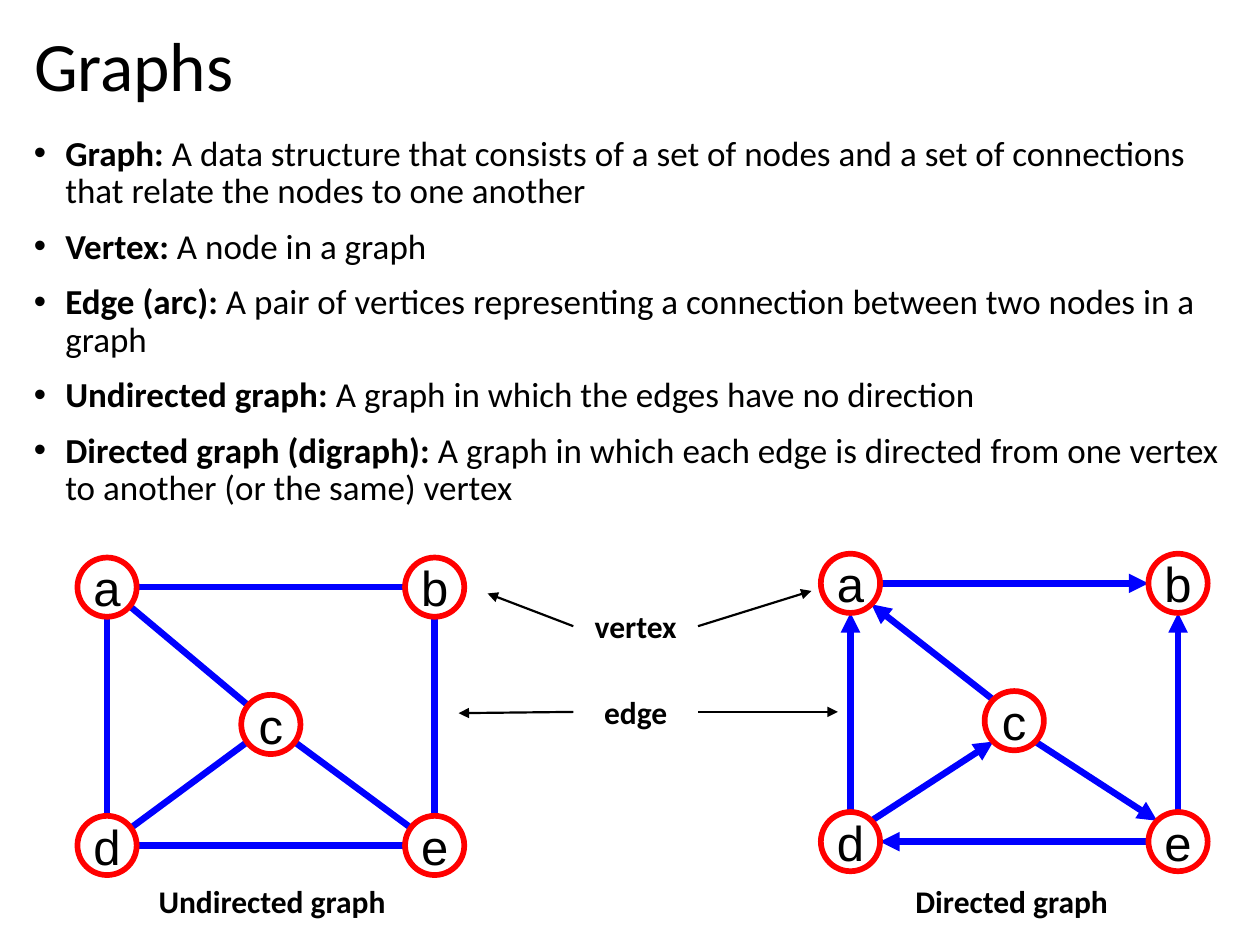
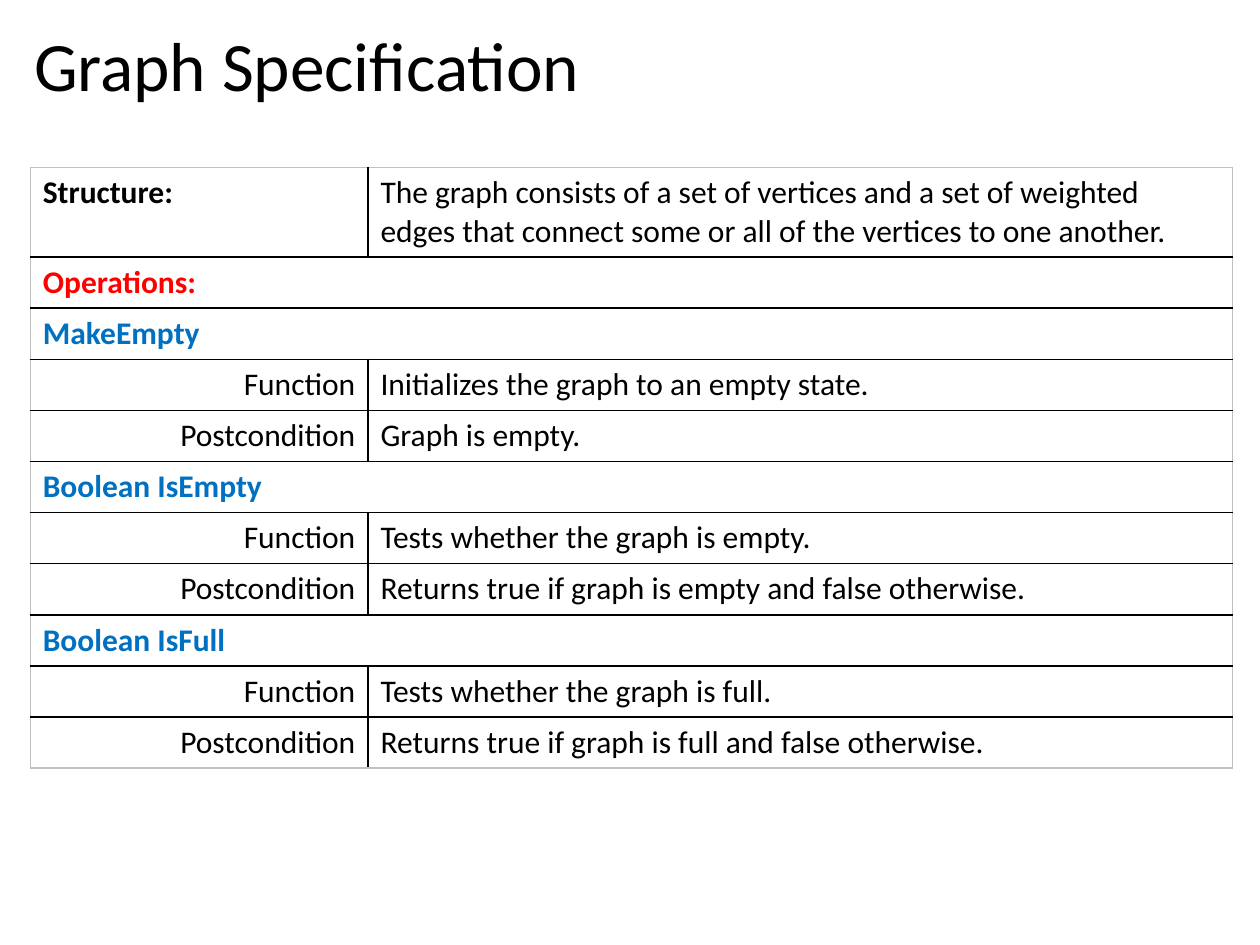
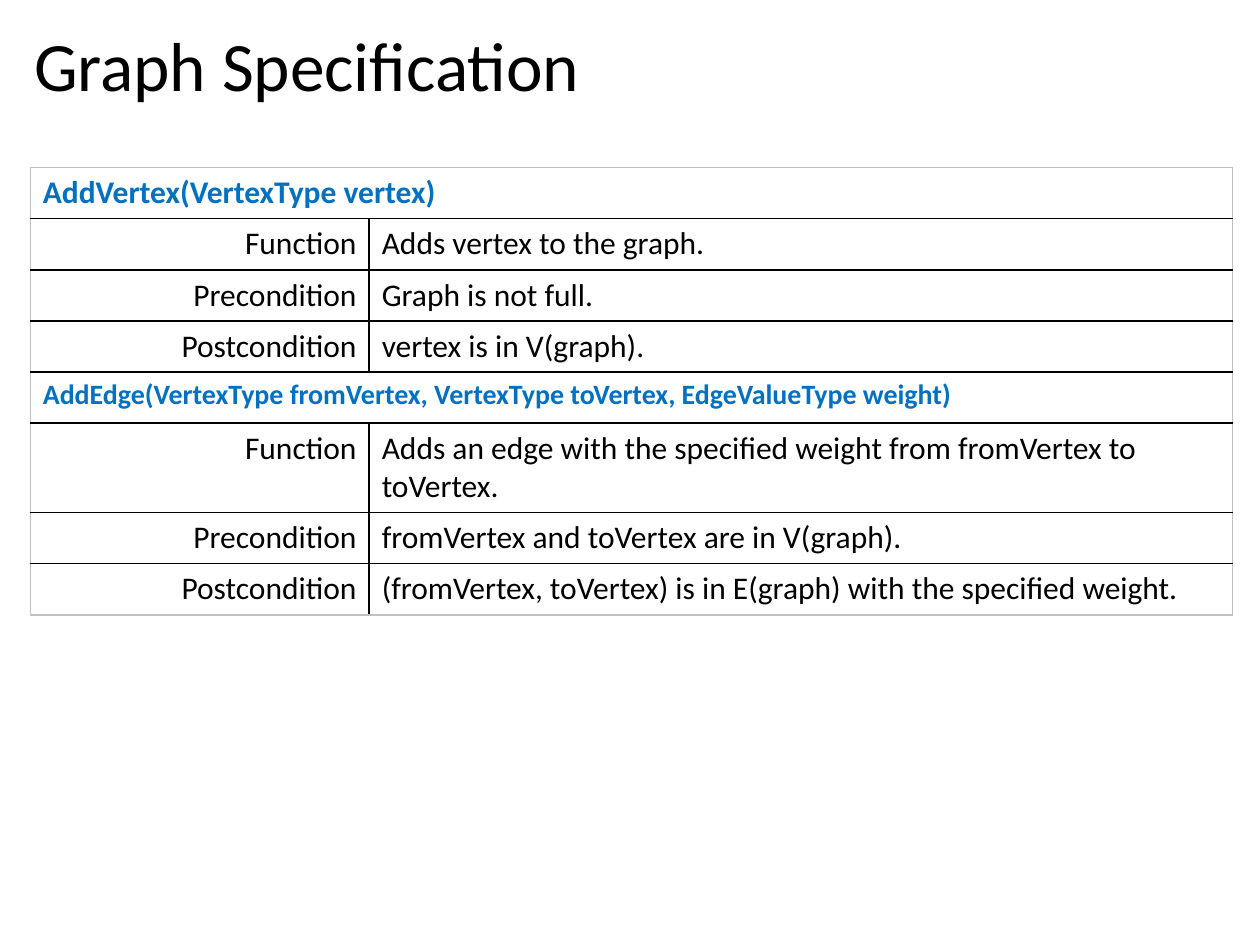
import math

import pptx
import pptx.dml.color
import pptx.enum.shapes
import pptx.enum.text
import pptx.oxml
import pptx.oxml.ns
import pptx.util

Inches, Pt = pptx.util.Inches, pptx.util.Pt
ALIGN, ANCHOR = pptx.enum.text.PP_ALIGN, pptx.enum.text.MSO_ANCHOR
NS = pptx.oxml.ns.nsdecls("a")
BLACK, WHITE, RED, BLUE, SKY, GREY = (
    "000000", "FFFFFF", "FF0000", "0000FF", "0070C0", "C0C0C0")


def hue(code):
    return pptx.dml.color.RGBColor.from_string(code)


def write(par, text, size=18, color=BLACK, bold=False, font="Calibri", align=ALIGN.LEFT):
    """Add a formatted run to a paragraph."""
    par.alignment = align
    run = par.add_run()
    run.text = text
    run.font.size, run.font.bold, run.font.name = Pt(size), bold, font
    run.font.color.rgb = hue(color)


deck = pptx.Presentation()
deck.slide_width, deck.slide_height = Inches(10), Inches(7.5)

# Titles
LEFT, WIDE = 0.17, 9.62
slides = []
for name in ("Graphs", "Graph Specification", "Graph Specification"):
    slide = deck.slides.add_slide(deck.slide_layouts[5])
    title = slide.shapes.title
    title.left, title.top = Inches(LEFT), Inches(0.18)
    title.width, title.height = Inches(WIDE), Inches(0.74)
    title.text_frame.vertical_anchor = ANCHOR.MIDDLE
    par = title.text_frame.paragraphs[0]
    par.line_spacing = 0.9
    write(par, name, size=39.6)
    slides.append(slide)

# Definitions
shapes = slides[0].shapes
terms = {
    "Graph:": "A data structure that consists of a set of nodes and a set of "
              "connections that relate the nodes to one another",
    "Vertex:": "A node in a graph",
    "Edge (arc):": "A pair of vertices representing a connection between two nodes in a graph",
    "Undirected graph:": "A graph in which the edges have no direction",
    "Directed graph (digraph):": "A graph in which each edge is directed from one vertex "
                                 "to another (or the same) vertex",
}
frame = shapes.add_textbox(Inches(LEFT), Inches(1.03), Inches(WIDE), Inches(3.2)).text_frame
frame.word_wrap = True
for i, (term, sense) in enumerate(terms.items()):
    par = frame.add_paragraph() if i else frame.paragraphs[0]
    par.line_spacing, par.space_before = 0.9, Pt(10)
    write(par, term, size=20, bold=True)
    write(par, " " + sense, size=20)
    props = par._p.get_or_add_pPr()
    props.set("marL", str(Inches(0.25)))
    props.set("indent", str(-Inches(0.25)))
    props.append(pptx.oxml.parse_xml(f'<a:buFont {NS} typeface="Arial"/>'))
    props.append(pptx.oxml.parse_xml(f'<a:buChar {NS} char="•"/>'))

# Both graphs share one layout; directed edges stop at the rim of each node
RIM = 0.235
spots = {"a": (0, 0), "b": (2.6, 0), "c": (1.3, 1.09), "d": (0, 2.05), "e": (2.6, 2.05)}
graphs = [
    (0.85, 4.66, "ab ac ad be cd ce de", False),
    (6.75, 4.63, "ab eb ca ce dc ed da", True),
]
lines, nodes = [], []
for x, y, edges, arrow in graphs:
    place = {key: (x + dx, y + dy) for key, (dx, dy) in spots.items()}
    nodes += place.items()
    for start, end in edges.split():
        (x1, y1), (x2, y2) = place[start], place[end]
        sx, sy = (x2 > x1) - (x2 < x1), (y2 > y1) - (y2 < y1)
        gap = RIM / math.hypot(sx, sy) if arrow else 0
        lines.append((x1 + sx * gap, y1 + sy * gap, x2 - sx * gap, y2 - sy * gap,
                      BLUE, 3.75, arrow))

# Pointers from the words in the middle
for x1, y1, x2, y2 in [(5.54, 5.65, 6.65, 5.65), (5.54, 4.97, 6.44, 4.69),
                       (4.55, 4.97, 3.87, 4.71), (4.55, 5.65, 3.64, 5.66)]:
    lines.append((x1, y1, x2, y2, BLACK, 1.25, True))

for *ends, color, width, arrow in lines:
    line = shapes.add_connector(pptx.enum.shapes.MSO_CONNECTOR.STRAIGHT, *map(Inches, ends))
    line.line.color.rgb, line.line.width = hue(color), Pt(width)
    if arrow:
        line.line._get_or_add_ln().append(
            pptx.oxml.parse_xml(f'<a:tailEnd {NS} type="triangle"/>'))
    line._element.spPr.append(pptx.oxml.parse_xml(f"<a:effectLst {NS}/>"))

for key, (x, y) in nodes:
    node = shapes.add_shape(pptx.enum.shapes.MSO_SHAPE.OVAL, Inches(x - RIM), Inches(y - RIM),
                            Inches(2 * RIM), Inches(2 * RIM))
    node.shadow.inherit = False
    node.fill.solid()
    node.fill.fore_color.rgb = hue(WHITE)
    node.line.color.rgb, node.line.width = hue(RED), Pt(3.25)
    frame = node.text_frame
    frame.margin_left = frame.margin_right = frame.margin_top = frame.margin_bottom = 0
    frame.word_wrap, frame.vertical_anchor = False, ANCHOR.MIDDLE
    write(frame.paragraphs[0], key, size=28, font="Arial", align=ALIGN.CENTER)

for label, x, y, width in [("vertex", 4.55, 4.77, 0.99), ("edge", 4.55, 5.45, 0.99),
                           ("Undirected graph", 0.69, 6.95, 2.94),
                           ("Directed graph", 6.56, 6.95, 2.94)]:
    frame = shapes.add_textbox(Inches(x), Inches(y), Inches(width), Inches(0.4)).text_frame
    frame.word_wrap = True
    write(frame.paragraphs[0], label, bold=True, align=ALIGN.CENTER)

# Specification tables: a row without a second text spans both columns
HEAD = dict(color=SKY, bold=True)
SIDE = dict(align=ALIGN.RIGHT)
basics = [
    ("Structure:", "The graph consists of a set of vertices and a set of weighted edges "
                   "that connect some or all of the vertices to one another.", dict(bold=True)),
    ("Operations:", None, dict(color=RED, bold=True)),
    ("MakeEmpty", None, HEAD),
    ("Function", "Initializes the graph to an empty state.", SIDE),
    ("Postcondition", "Graph is empty.", SIDE),
    ("Boolean IsEmpty", None, HEAD),
    ("Function", "Tests whether the graph is empty.", SIDE),
    ("Postcondition", "Returns true if graph is empty and false otherwise.", SIDE),
    ("Boolean IsFull", None, HEAD),
    ("Function", "Tests whether the graph is full.", SIDE),
    ("Postcondition", "Returns true if graph is full and false otherwise.", SIDE),
]
adders = [
    ("AddVertex(VertexType vertex)", None, HEAD),
    ("Function", "Adds vertex to the graph.", SIDE),
    ("Precondition", "Graph is not full.", SIDE),
    ("Postcondition", "vertex is in V(graph).", SIDE),
    ("AddEdge(VertexType fromVertex, VertexType toVertex, EdgeValueType weight)", None,
     dict(HEAD, size=16)),
    ("Function", "Adds an edge with the specified weight from fromVertex to toVertex.", SIDE),
    ("Precondition", "fromVertex and toVertex are in V(graph).", SIDE),
    ("Postcondition", "(fromVertex, toVertex) is in E(graph) with the specified weight.", SIDE),
]
ROW, SPAN = Pt(29.2), 9.54
for slide, rows, first in [(slides[1], basics, 2.68), (slides[2], adders, 2.69)]:
    table = slide.shapes.add_table(len(rows), 2, Inches(0.24), Inches(1.33),
                                   Inches(SPAN), ROW * len(rows)).table
    table.first_row = table.horz_banding = False
    table.columns[0].width, table.columns[1].width = Inches(first), Inches(SPAN - first)
    for r, (head, text, style) in enumerate(rows):
        table.rows[r].height = ROW
        left, right = table.cell(r, 0), table.cell(r, 1)
        whole = text is None
        write(left.text_frame.paragraphs[0], head, **style)
        if whole:
            left.merge(right)
        else:
            write(right.text_frame.paragraphs[0], text)
        for c, cell in enumerate((left, right)):
            cell.fill.background()
            outer = {"L": whole or c == 0, "R": whole or c == 1,
                     "T": r == 0, "B": r == len(rows) - 1}
            for i, (side, rim) in enumerate(outer.items()):
                cell._tc.get_or_add_tcPr().insert(i, pptx.oxml.parse_xml(
                    f'<a:ln{side} {NS} w="{Pt(1)}"><a:solidFill>'
                    f'<a:srgbClr val="{GREY if rim else BLACK}"/></a:solidFill></a:ln{side}>'))

deck.save("out.pptx")
